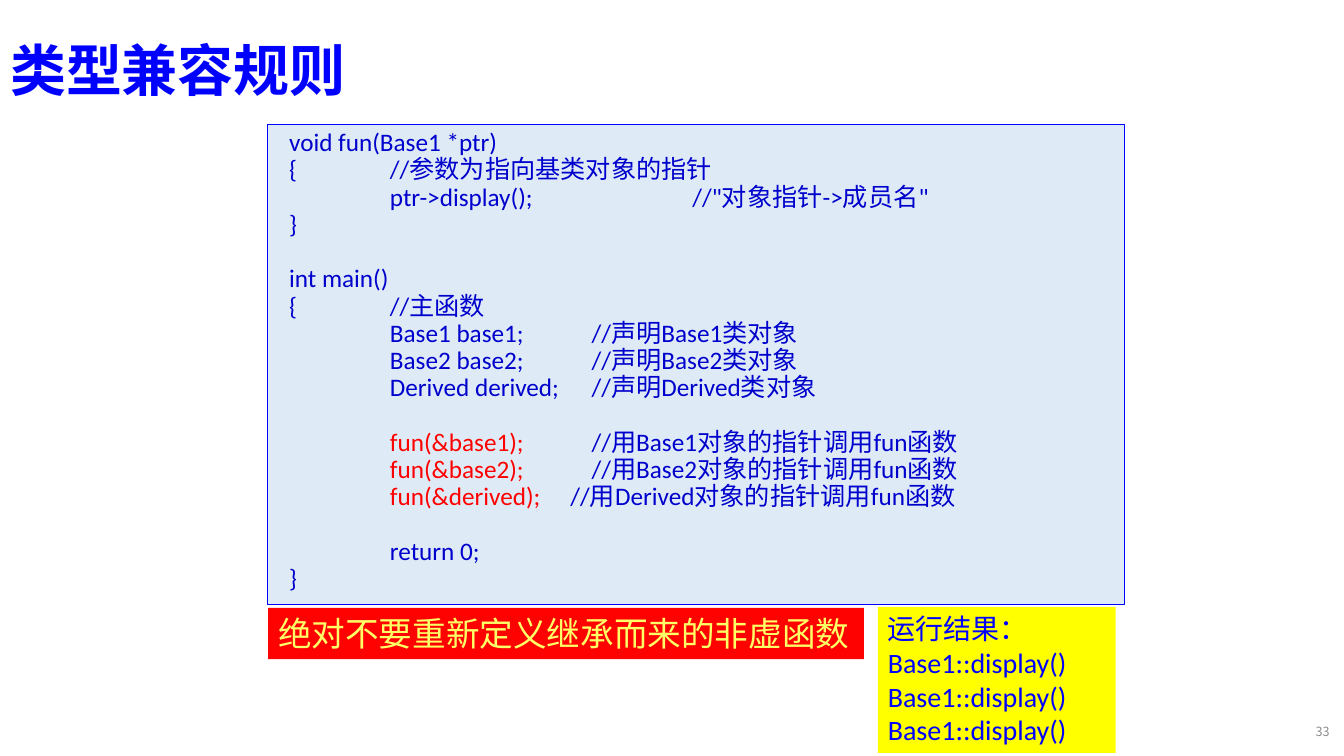
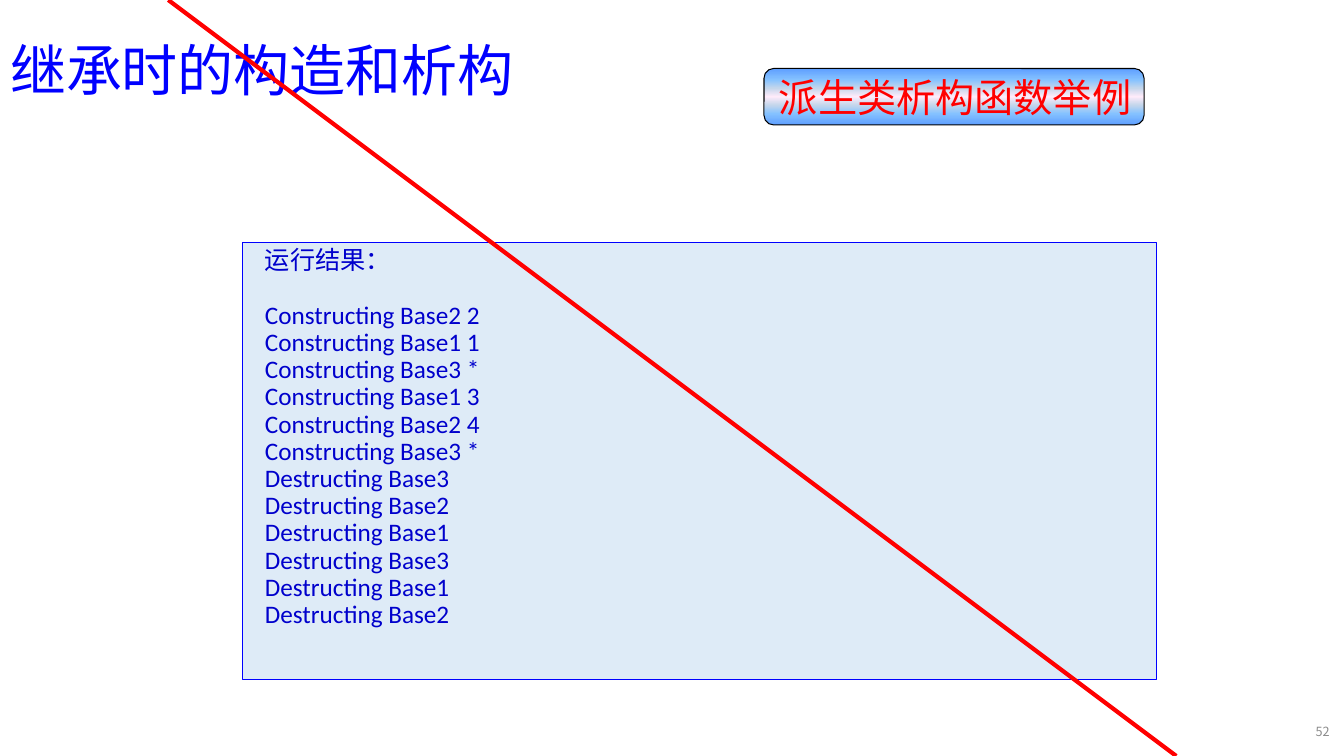
"""Build two slides on type compatibility and on inheritance with destructors."""
from lxml import etree
from pptx import Presentation
from pptx.dml.color import RGBColor
from pptx.enum import shapes, text
from pptx.oxml import ns
from pptx.util import Inches, Pt

COLOURS = {
    "title": "0000FF",
    "code": "0000CC",
    "call": "FF0000",
    "panel": "DEEBF7",
    "border": "0000FF",
    "result": "FFFF00",
    "warning": "FE0202",
    "warning_text": "FFFF66",
    "outline": "000000",
    "page": "8C8C8C",
}
BADGE_STOPS = [(0, "5E9EFF"), (20, "85C2FF"), (35, "C4D6EB"), (50, "FFEBFA"),
               (65, "C4D6EB"), (80, "85C2FF"), (100, "5E9EFF")]
CJK_FONT = "Noto Sans CJK SC"
BLANK_LINE = Pt(19.5)
CODE_MARGIN = 0.12
TAB_WIDTH = 1
DERIVED_TAB_WIDTH = 1.79

DISPLAY_CODE = [
    ["void fun(Base1 *ptr)",
     "{ \t//参数为指向基类对象的指针",
     "\tptr->display();\t\t//\"对象指针->成员名\"",
     "}"],
    ["int main()",
     "{\t//主函数",
     "\tBase1 base1;\t//声明Base1类对象",
     "\tBase2 base2;\t//声明Base2类对象",
     "\tDerived derived;\t//声明Derived类对象"],
    [(f"fun(&{name.lower()});", f"\t//用{name}对象的指针调用fun函数")
     for name in ("Base1", "Base2", "Derived")],
    ["\treturn 0;", "}"],
]
LIFETIME_OUTPUT = [
    ["运行结果："],
    [f"Constructing Base{item}" for item in ("2 2", "1 1", "3 *", "1 3", "2 4", "3 *")]
    + [f"Destructing Base{number}" for number in (3, 2, 1, 3, 1, 2)],
]


def rgb(name):
    """Return the named colour."""
    return RGBColor.from_string(COLOURS[name])


def format_run(run, size, colour, font="Calibri", bold=False):
    """Set the size, colour and fonts of a run."""
    run.font.size = Pt(size)
    run.font.color.rgb = rgb(colour)
    run.font.name = font
    run.font.bold = bold
    east_asian = etree.SubElement(run.font._element, ns.qn("a:ea"))
    east_asian.set("typeface", CJK_FONT)


def format_paragraphs(frame, size, colour, alignment=text.PP_ALIGN.LEFT, **font):
    """Format every paragraph of a text frame alike."""
    for paragraph in frame.paragraphs:
        paragraph.alignment = alignment
        for run in paragraph.runs:
            format_run(run, size, colour, **font)


def add_title(slide, words, bold=False):
    """Place and format the slide title."""
    title = slide.shapes.title
    title.left, title.top = Inches(0), Inches(0)
    title.width, title.height = Inches(11.5), Inches(1.45)
    frame = title.text_frame
    frame.text = words
    frame.auto_size = text.MSO_AUTO_SIZE.NONE
    frame.vertical_anchor = text.MSO_ANCHOR.MIDDLE
    frame.paragraphs[0].line_spacing = 0.9
    format_paragraphs(frame, 40, "title", font=CJK_FONT, bold=bold)


def add_page_number(slide, number):
    """Add the page number at the bottom right."""
    box = slide.shapes.add_textbox(Inches(12.89), Inches(7.06), Inches(0.4), Inches(0.4))
    frame = box.text_frame
    frame.word_wrap = True
    frame.vertical_anchor = text.MSO_ANCHOR.MIDDLE
    frame.text = str(number)
    format_paragraphs(frame, 9, "page", text.PP_ALIGN.RIGHT, font=CJK_FONT)


def add_block(slide, left, top, width, height, fill=None, line=None,
              kind=shapes.MSO_SHAPE.RECTANGLE):
    """Add a flat shape with wrapped text starting at its top."""
    block = slide.shapes.add_shape(
        kind, Inches(left), Inches(top), Inches(width), Inches(height))
    block.shadow.inherit = False
    if fill:
        block.fill.solid()
        block.fill.fore_color.rgb = rgb(fill)
    if line:
        block.line.color.rgb = rgb(line)
        block.line.width = Pt(0.75)
    else:
        block.line.fill.background()
    block.text_frame.word_wrap = True
    block.text_frame.vertical_anchor = text.MSO_ANCHOR.TOP
    return block


def set_indent(paragraph, margin, tab_width):
    """Set the left margin and the tab width of a paragraph."""
    properties = paragraph._p.get_or_add_pPr()
    properties.set("marL", str(Inches(margin)))
    properties.set("indent", "0")
    properties.set("defTabSz", str(Inches(tab_width)))


def fill_code_line(paragraph, line):
    """Write one code line, with a call in its own colour."""
    paragraph.alignment = text.PP_ALIGN.LEFT
    paragraph.line_spacing = 0.9
    if isinstance(line, str):
        set_indent(paragraph, CODE_MARGIN, TAB_WIDTH)
        parts = [(line, "code")]
    else:
        call, comment = line
        tab_width = DERIVED_TAB_WIDTH if "derived" in call else TAB_WIDTH
        set_indent(paragraph, CODE_MARGIN + TAB_WIDTH, tab_width)
        parts = [(call, "call"), (comment, "code")]
    for words, colour in parts:
        run = paragraph.add_run()
        run.text = words
        format_run(run, 18, colour)


def add_code_panel(slide, left, top, width, height, groups):
    """Add a panel of code lines, with a gap between groups."""
    panel = add_block(slide, left, top, width, height, "panel", "border")
    frame = panel.text_frame
    paragraph = frame.paragraphs[0]
    for group_index, group in enumerate(groups):
        for line_index, line in enumerate(group):
            if group_index or line_index:
                paragraph = frame.add_paragraph()
            if group_index and not line_index:
                paragraph.space_before = BLANK_LINE
            fill_code_line(paragraph, line)


def add_note(slide, left, top, width, height, words, fill, size, colour):
    """Add a filled note without an outline."""
    note = add_block(slide, left, top, width, height, fill)
    note.text_frame.text = words
    format_paragraphs(note.text_frame, size, colour)


def add_badge(slide, words):
    """Add the rounded gradient badge."""
    badge = add_block(slide, 7.58, 0.68, 3.77, 0.56, line="outline",
                      kind=shapes.MSO_SHAPE.ROUNDED_RECTANGLE)
    badge.adjustments[0] = 0.17
    badge.fill.gradient()
    badge.fill.gradient_angle = 90
    stops = badge.element.spPr.find(".//" + ns.qn("a:gsLst"))
    for stop in list(stops):
        stops.remove(stop)
    for percent, colour in BADGE_STOPS:
        stop = etree.SubElement(stops, ns.qn("a:gs"))
        stop.set("pos", str(percent * 1000))
        etree.SubElement(stop, ns.qn("a:srgbClr")).set("val", colour)
    frame = badge.text_frame
    frame.margin_left = Inches(0.02)
    frame.margin_right = frame.margin_top = frame.margin_bottom = 0
    frame.vertical_anchor = text.MSO_ANCHOR.MIDDLE
    frame.text = words
    format_paragraphs(frame, 28, "call", text.PP_ALIGN.CENTER, font="Arial")


def add_strike(slide):
    """Add the diagonal line across the slide."""
    strike = slide.shapes.add_connector(
        shapes.MSO_CONNECTOR.STRAIGHT,
        Inches(1.67), Inches(0), Inches(11.67), Inches(7.5))
    strike.line.color.rgb = rgb("call")
    strike.line.width = Pt(3)
    etree.SubElement(strike.element.spPr, ns.qn("a:effectLst"))


def build_compatibility_slide(slide):
    """Fill the slide on type compatibility."""
    add_title(slide, "类型兼容规则", bold=True)
    add_code_panel(slide, 2.65, 1.24, 8.51, 4.76, DISPLAY_CODE)
    result = "\n".join(["运行结果："] + ["Base1::display()"] * 3)
    add_note(slide, 8.71, 6.02, 2.36, 1.45, result, "result", 20, "title")
    add_note(slide, 2.66, 6.03, 5.91, 0.51, "绝对不要重新定义继承而来的非虚函数",
             "warning", 24, "warning_text")
    add_page_number(slide, 33)


def build_destructor_slide(slide):
    """Fill the slide on construction and destruction."""
    add_title(slide, "继承时的构造和析构")
    add_badge(slide, "派生类析构函数举例")
    add_code_panel(slide, 2.41, 2.41, 9.06, 4.33, LIFETIME_OUTPUT)
    add_strike(slide)
    add_page_number(slide, 52)


def main():
    """Build and save the presentation."""
    presentation = Presentation()
    presentation.slide_width = Inches(40) // 3
    presentation.slide_height = Inches(7.5)
    title_only = presentation.slide_layouts[5]
    for build in (build_compatibility_slide, build_destructor_slide):
        build(presentation.slides.add_slide(title_only))
    presentation.save("out.pptx")


main()
